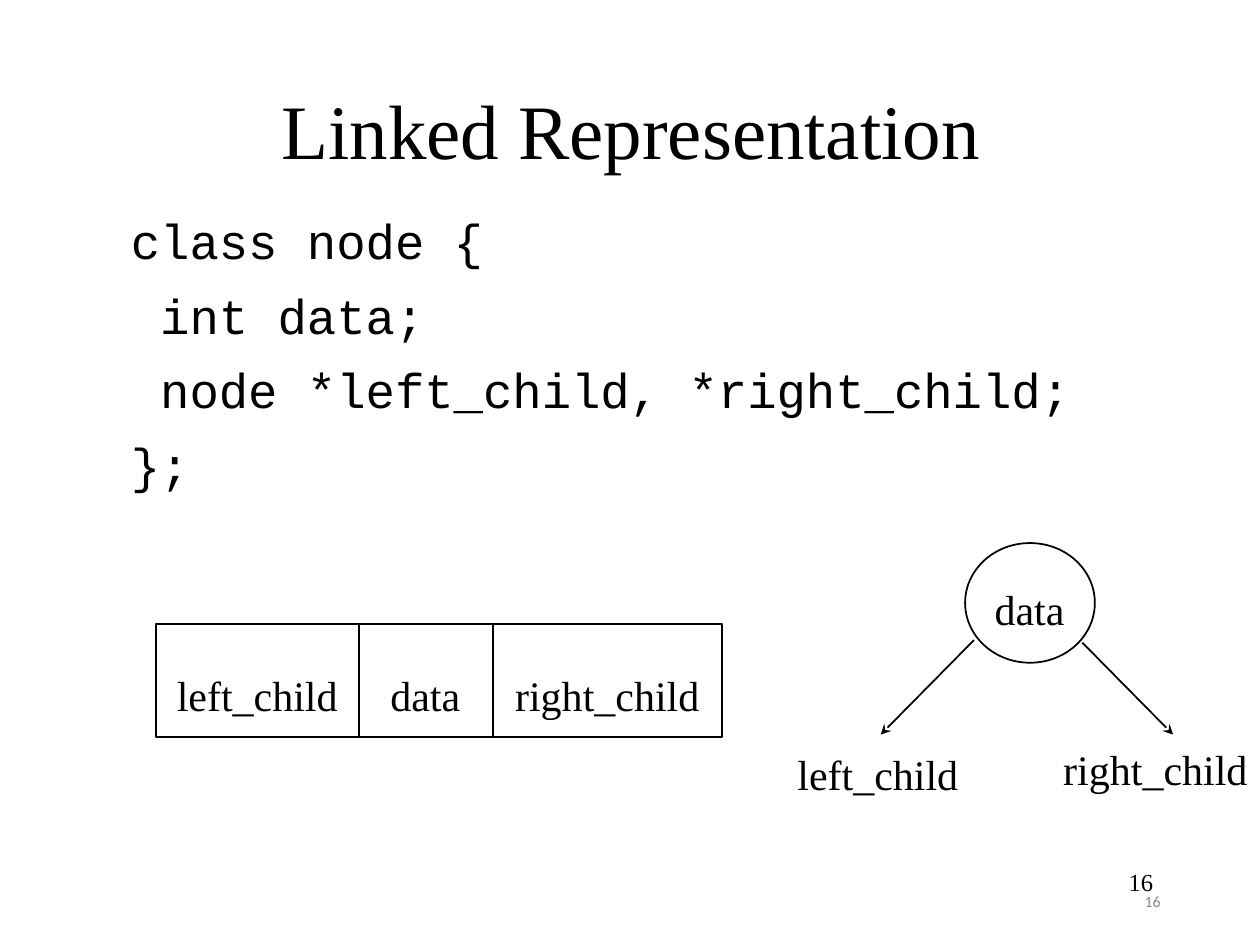
from lxml import etree
from pptx import Presentation
from pptx.dml.color import RGBColor
from pptx.enum.shapes import MSO_CONNECTOR, MSO_SHAPE
from pptx.enum.text import MSO_ANCHOR, PP_ALIGN
from pptx.oxml.ns import qn
from pptx.util import Inches, Pt

LEFT, CENTER, RIGHT = PP_ALIGN.LEFT, PP_ALIGN.CENTER, PP_ALIGN.RIGHT
TOP, MIDDLE = MSO_ANCHOR.TOP, MSO_ANCHOR.MIDDLE
COLORS = {"ink": "000000", "muted": "898989"}
SERIF, MONO, SANS = "Times New Roman", "Courier New", "Calibri"

# Content
TITLE = "Linked Representation"
CODE = ["class node {", " int data;", " node *left_child, *right_child;", "};"]
FIELDS = ["left_child", "data", "right_child"]
LABEL_WIDTHS = {"left_child": 1.48, "data": 0.76, "right_child": 1.66}
# text, box, size, font, colour
PAGE_NUMBERS = [
    ("16", (7.06, 6.95, 2.25, 0.4), 9, SANS, "muted", MIDDLE),
    ("16", (7.17, 6.83, 2.08, 0.5), 14, SERIF, "ink", TOP),
]

# Geometry in inches
RECORD_EDGES = [1.24, 2.85, 3.91, 5.73]
RECORD_TOP, RECORD_H = 4.95, 0.9
CIRCLE = (7.66, 4.31, 1.03, 0.95)
# label, label centre, label top, arrow start, arrow end
BRANCHES = [
    ("left_child", 6.97, 5.89, (7.73, 5.08), (6.99, 5.83)),
    ("right_child", 9.17, 5.85, (8.59, 5.1), (9.31, 5.83)),
]

prs = Presentation()
prs.slide_width, prs.slide_height = Inches(10), Inches(7.5)
s = prs.slides.add_slide(prs.slide_layouts[5])


def color(name):
    return RGBColor.from_string(COLORS[name])


def box(xywh):
    return [Inches(v) for v in xywh]


def write(sp, text, size, font, ink="ink", align=LEFT, anchor=TOP, wrap=True):
    tf = sp.text_frame
    tf.text = text
    tf.word_wrap = wrap
    tf.vertical_anchor = anchor
    for p in tf.paragraphs:
        p.alignment = align
        for r in p.runs:
            r.font.size, r.font.name = Pt(size), font
            r.font.color.rgb = color(ink)
    return tf


def label(text, center, top):
    w = LABEL_WIDTHS[text]
    sp = s.shapes.add_textbox(*box((center - w / 2, top, w, 0.5)))
    write(sp, text, 24, SERIF, anchor=MIDDLE, wrap=False)


def outline(kind, xywh):
    sp = s.shapes.add_shape(kind, *box(xywh))
    sp.shadow.inherit = False
    sp.fill.background()
    sp.line.color.rgb = color("ink")
    sp.line.width = Pt(1)


def line(start, end, arrow=False):
    c = s.shapes.add_connector(MSO_CONNECTOR.STRAIGHT, *box(start + end))
    c.line.color.rgb = color("ink")
    c.line.width = Pt(1)
    if arrow:
        etree.SubElement(c.line._get_or_add_ln(), qn("a:tailEnd"), type="stealth")
    etree.SubElement(c._element.spPr, qn("a:effectLst"))


# Title
title = s.shapes.title
title.left, title.top, title.width, title.height = box((0, 0.4, 10.02, 1.25))
write(title, TITLE, 44, SERIF, align=CENTER, anchor=MIDDLE)

# Class declaration
sp = s.shapes.add_textbox(*box((0.94, 1.54, 8.55, 2.61)))
tf = write(sp, "\n".join(CODE), 28, MONO)
tf.margin_top = Inches(0.13)
for p in tf.paragraphs[1:]:
    p.space_before = Pt(9)

# Record with one cell per field
left, right = RECORD_EDGES[0], RECORD_EDGES[-1]
outline(MSO_SHAPE.RECTANGLE, (left, RECORD_TOP, right - left, RECORD_H))
for x in RECORD_EDGES[1:-1]:
    line((x, RECORD_TOP), (x, RECORD_TOP + RECORD_H))
for field, x1, x2 in zip(FIELDS, RECORD_EDGES, RECORD_EDGES[1:]):
    label(field, (x1 + x2) / 2, 5.26)

# Node with its two children
outline(MSO_SHAPE.OVAL, CIRCLE)
label("data", CIRCLE[0] + CIRCLE[2] / 2, 4.58)
for child, center, top, start, end in BRANCHES:
    line(start, end, arrow=True)
    label(child, center, top)

# Page numbers
for text, xywh, size, font, ink, anchor in PAGE_NUMBERS:
    sp = s.shapes.add_textbox(*box(xywh))
    write(sp, text, size, font, ink, RIGHT, anchor)

prs.save("out.pptx")
